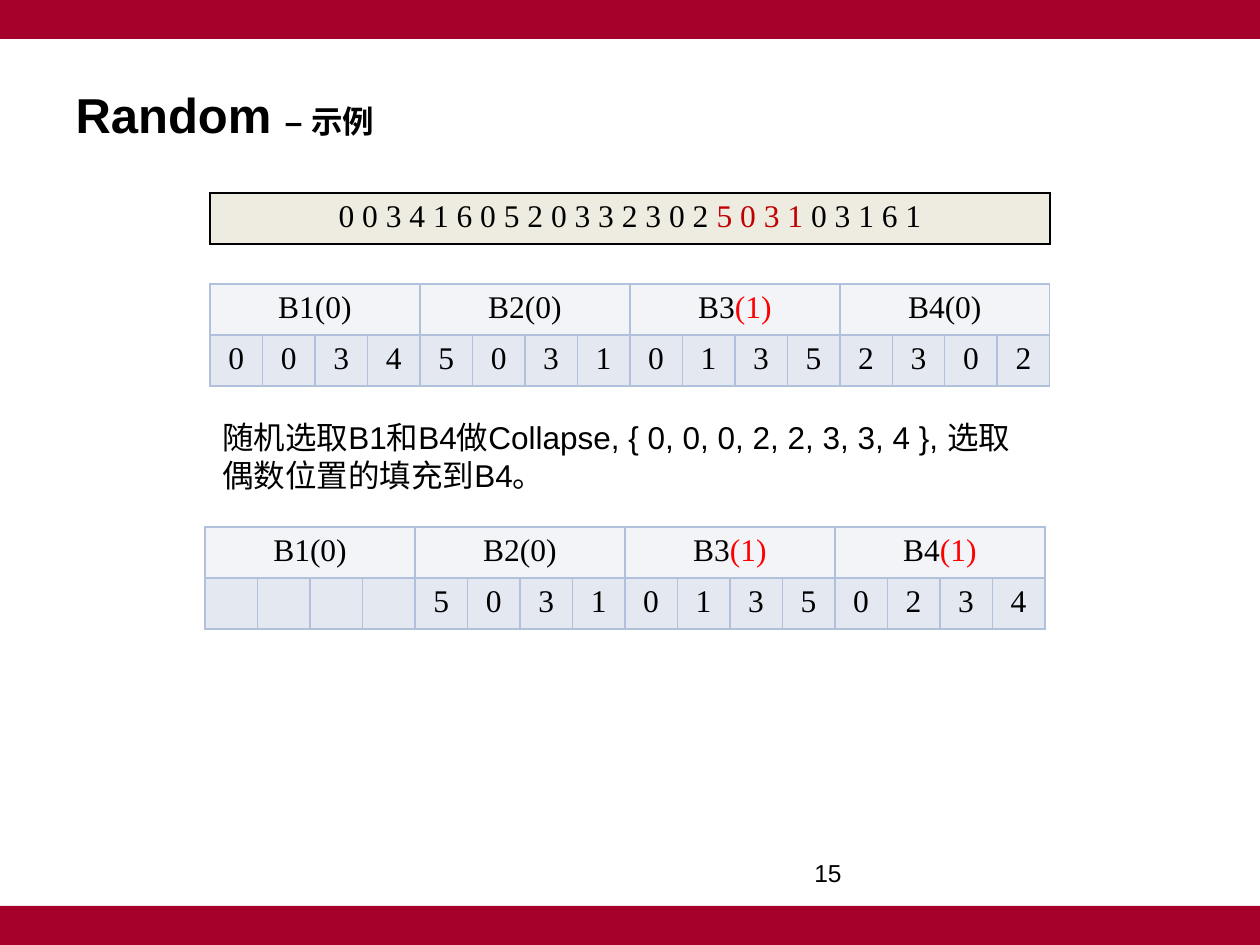
from lxml.etree import SubElement
from pptx import Presentation
from pptx.dml.color import RGBColor
from pptx.enum.shapes import MSO_SHAPE
from pptx.enum.text import MSO_ANCHOR, PP_ALIGN
from pptx.oxml.ns import qn
from pptx.util import Emu, Pt

COLORS = {
    "band": "A6012B", "text": "000000", "red": "FF0000", "dark_red": "C00000",
    "stream_fill": "EEECE1", "stream_border": "000000",
    "header_fill": "F2F4F8", "value_fill": "E4E9F1", "buffer_border": "B2C1DB",
}
SANS, SERIF = "Arial", "Times New Roman"

# Content: each text is a list of (text, color) runs
TITLE = [("Random ", 28), ("– 示例", 18)]
STREAM = [("0 0 3 4 1 6 0 5 2 0 3 3 2 3 0 2 ", "text"), ("5 0 3 1", "dark_red"),
          (" 0 3 1 6 1", "text")]
NOTE = "随机选取B1和B4做Collapse, { 0, 0, 0, 2, 2, 3, 3, 4 }, 选取偶数位置的填充到B4。"
PAGE_NUMBER = "15"
# Buffers: name, weight, values
BEFORE = [("B1", 0, "0034"), ("B2", 0, "5031"), ("B3", 1, "0135"), ("B4", 0, "2302")]
AFTER = [("B1", 0, "    "), ("B2", 0, "5031"), ("B3", 1, "0135"), ("B4", 1, "0234")]

# Layout in px
SLIDE_WIDTH, SLIDE_HEIGHT, BAND_HEIGHT = 1260, 945, 39
TABLE_LEFT, TABLE_WIDTH, ROW_HEIGHT = 210, 840, 51
BUFFER_SIZE = 4


def px(length):
    return Emu(round(length * 914400 / 126))


def box(*lengths):
    return [px(length) for length in lengths]


def color(name):
    return RGBColor.from_string(COLORS[name])


def add_run(paragraph, text, font, size=18, color_name="text", bold=False):
    run = paragraph.add_run()
    run.text = text
    run.font.name, run.font.size, run.font.bold = font, Pt(size), bold
    run.font.color.rgb = color(color_name)


def add_text(slide, text, place, size, alignment=PP_ALIGN.LEFT):
    text_frame = slide.shapes.add_textbox(*box(*place)).text_frame
    text_frame.word_wrap = True
    paragraph = text_frame.paragraphs[0]
    paragraph.alignment = alignment
    add_run(paragraph, text, SANS, size)


def add_plain_table(slide, rows, columns, left, top):
    table = slide.shapes.add_table(
        rows, columns, *box(left, top, TABLE_WIDTH, rows * ROW_HEIGHT)).table
    table.first_row = table.horz_banding = False
    return table


def format_cell(cell, runs, fill, border):
    properties = cell._tc.get_or_add_tcPr()
    for side in ("a:lnL", "a:lnR", "a:lnT", "a:lnB"):
        line = SubElement(properties, qn(side), w=str(Pt(1)))
        line_fill = SubElement(line, qn("a:solidFill"))
        SubElement(line_fill, qn("a:srgbClr"), val=COLORS[border])
    cell.fill.solid()
    cell.fill.fore_color.rgb = color(fill)
    paragraph = cell.text_frame.paragraphs[0]
    paragraph.alignment = PP_ALIGN.CENTER
    for text, color_name in runs:
        add_run(paragraph, text, SERIF, color_name=color_name)


def add_buffers(slide, buffers, left, top):
    table = add_plain_table(slide, 2, len(buffers) * BUFFER_SIZE, left, top)
    for index, (name, weight, values) in enumerate(buffers):
        first = index * BUFFER_SIZE
        table.cell(0, first).merge(table.cell(0, first + BUFFER_SIZE - 1))
        header = [(name, "text"), (f"({weight})", "red" if weight else "text")]
        for offset, value in enumerate(values):
            format_cell(table.cell(0, first + offset), [] if offset else header,
                        "header_fill", "buffer_border")
            format_cell(table.cell(1, first + offset),
                        [(value, "text")] if value.strip() else [],
                        "value_fill", "buffer_border")


def main():
    presentation = Presentation()
    presentation.slide_width, presentation.slide_height = box(SLIDE_WIDTH, SLIDE_HEIGHT)
    slide = presentation.slides.add_slide(presentation.slide_layouts[5])

    # Top and bottom bands
    for top in (0, SLIDE_HEIGHT - BAND_HEIGHT):
        band = slide.shapes.add_shape(
            MSO_SHAPE.RECTANGLE, *box(0, top, SLIDE_WIDTH, BAND_HEIGHT))
        band.shadow.inherit = False
        band.fill.solid()
        band.fill.fore_color.rgb = color("band")
        band.line.fill.background()

    # Title
    title = slide.shapes.title
    title.left, title.top, title.width, title.height = box(63, 55, 1134, 118)
    title.text_frame.vertical_anchor = MSO_ANCHOR.MIDDLE
    paragraph = title.text_frame.paragraphs[0]
    paragraph.alignment = PP_ALIGN.LEFT
    for text, size in TITLE:
        add_run(paragraph, text, SANS, size, bold=True)

    # Input stream
    stream = add_plain_table(slide, 1, 1, TABLE_LEFT, 193)
    format_cell(stream.cell(0, 0), STREAM, "stream_fill", "stream_border")

    # Buffers before and after the collapse, with the explanation between
    add_buffers(slide, BEFORE, TABLE_LEFT, 284)
    add_text(slide, NOTE, (TABLE_LEFT, 412, TABLE_WIDTH, 89), 18)
    add_buffers(slide, AFTER, 205, 527)

    # Page number
    add_text(slide, PAGE_NUMBER, (561, 852, 293, 44), 14, PP_ALIGN.RIGHT)

    presentation.save("out.pptx")


if __name__ == "__main__":
    main()
